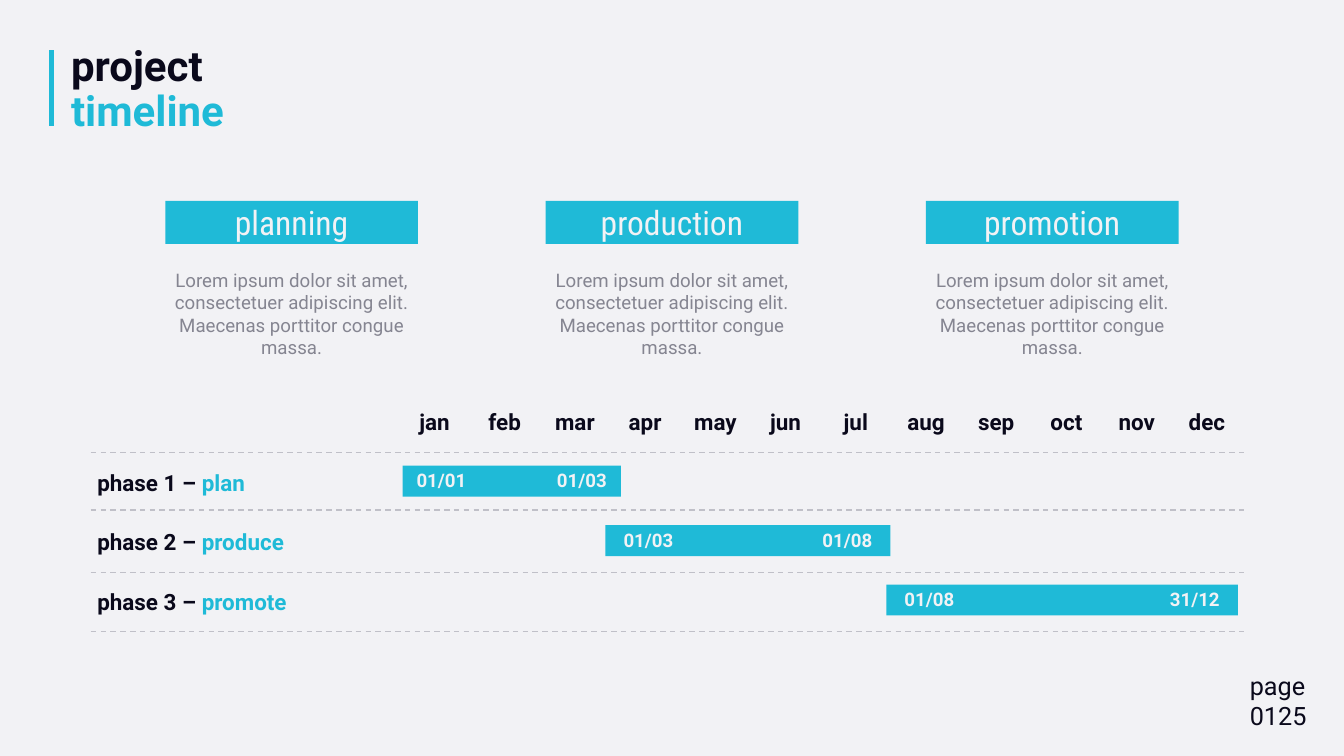
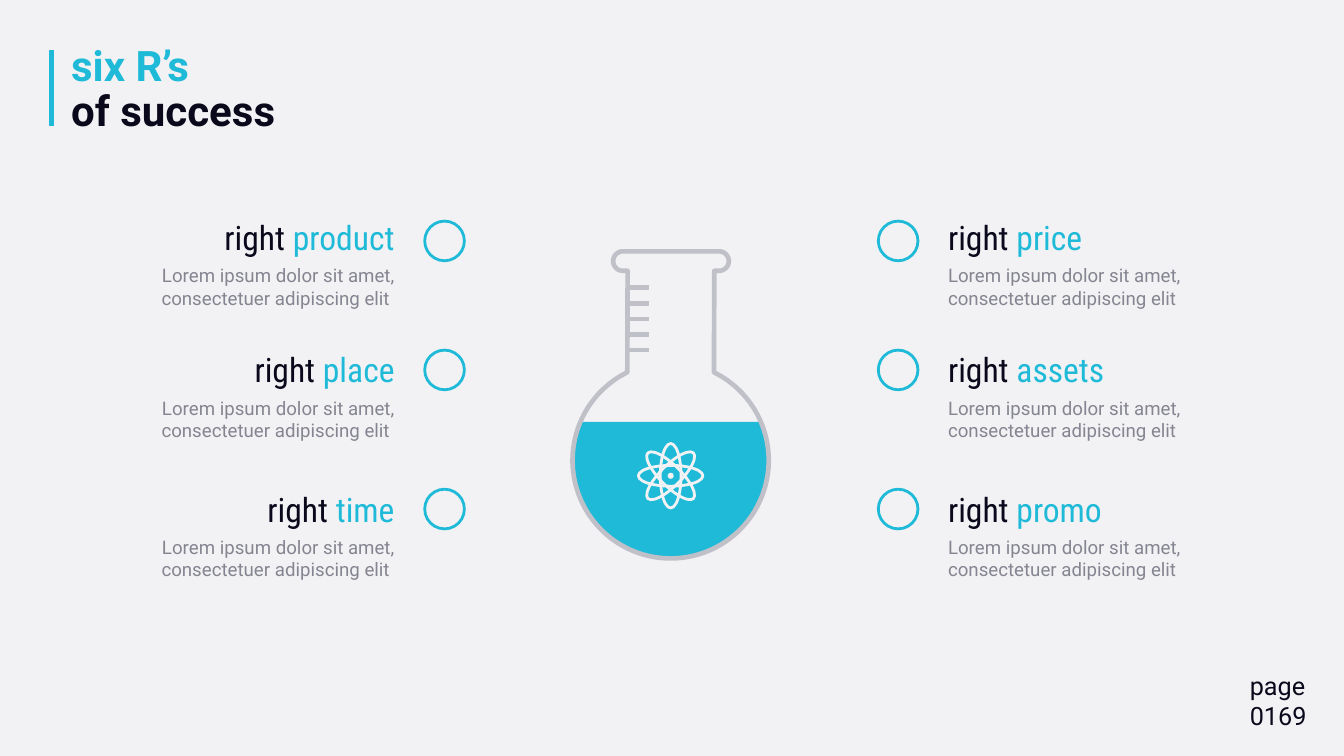
import math

from lxml import etree
from pptx import Presentation
from pptx.dml.color import RGBColor
from pptx.enum import dml, shapes, text
from pptx.oxml import ns
from pptx.util import Inches, Pt

CYAN = RGBColor(0x1F, 0xBA, 0xD7)
INK = RGBColor(0x0A, 0x09, 0x1B)
GREY = RGBColor(0x85, 0x85, 0x91)
SILVER = RGBColor(0xC0, 0xC0, 0xC8)
PAPER = RGBColor(0xF2, 0xF2, 0xF5)
ROBOTO = "Roboto"
CONDENSED = "Roboto Condensed"
LEFT, CENTER, RIGHT = text.PP_ALIGN.LEFT, text.PP_ALIGN.CENTER, text.PP_ALIGN.RIGHT
MONTHS = "jan feb mar apr may jun jul aug sep oct nov dec".split()


def add_run(paragraph, words, size, color, font=ROBOTO, bold=False):
    """Append one formatted run to a paragraph."""
    run = paragraph.add_run()
    run.text = words
    run.font.size = Pt(size)
    run.font.name = font
    run.font.bold = bold
    run.font.color.rgb = color


def add_label(slide, box, runs, size, align=LEFT, font=ROBOTO, bold=False):
    """Add a one-paragraph text box from (words, colour) pairs."""
    frame = slide.shapes.add_textbox(*map(Inches, box)).text_frame
    frame.word_wrap = True
    paragraph = frame.paragraphs[0]
    paragraph.alignment = align
    for words, color in runs:
        add_run(paragraph, words, size, color, font, bold)
    return frame


def paint(shape, fill=None, line=None, width=0):
    """Set the fill and outline of a shape, without a shadow."""
    shape.shadow.inherit = False
    if fill is None:
        shape.fill.background()
    else:
        shape.fill.solid()
        shape.fill.fore_color.rgb = fill
    if line is None:
        shape.line.fill.background()
    else:
        shape.line.color.rgb = line
        shape.line.width = Pt(width)


def add_preset(slide, preset, box, **look):
    """Add a painted preset shape."""
    shape = slide.shapes.add_shape(preset, *map(Inches, box))
    paint(shape, **look)
    return shape


def add_line(slide, x1, y1, x2, y2, color, width, dash=None):
    """Add a straight line without a shadow."""
    line = slide.shapes.add_connector(
        shapes.MSO_CONNECTOR.STRAIGHT, *map(Inches, (x1, y1, x2, y2)))
    line.line.color.rgb = color
    line.line.width = Pt(width)
    if dash:
        line.line.dash_style = dash
    etree.SubElement(line._element.spPr, ns.qn("a:effectLst"))


def arc(cx, cy, radius, start, end):
    """Return points along an arc, with angles in degrees."""
    steps = max(12, round(abs(end - start) / 3))
    angles = [math.radians(start + (end - start) * i / steps) for i in range(steps + 1)]
    return [(cx + radius * math.cos(a), cy + radius * math.sin(a)) for a in angles]


def add_outline(slide, left, top, points, **look):
    """Add a closed freeform from points relative to left and top."""
    corners = [(Inches(left + x), Inches(top + y)) for x, y in points]
    builder = slide.shapes.build_freeform(*corners[0])
    builder.add_line_segments(corners[1:], close=True)
    paint(builder.convert_to_shape(), **look)


def add_page(prs, title, page):
    """Add a slide with its two-line title, side rule and page number."""
    slide = prs.slides.add_slide(prs.slide_layouts[6])
    add_line(slide, 0.77, 0.75, 0.77, 1.88, CYAN, 5)
    (first, first_color), second = title
    frame = add_label(slide, (0.96, 0.62, 5.96, 1.46), [(first, first_color)], 45, bold=True)
    heading = frame.paragraphs[0]
    heading.line_spacing = 0.9
    heading.add_line_break()
    add_run(heading, *(second[0], 45, second[1]), bold=True)
    footer = add_label(slide, (18.5, 9.92, 1.5, 1.04), [("page", INK)], 27)
    add_run(footer.add_paragraph(), page, 27, INK)
    return slide


def add_stage(slide, left, top, name):
    """Add a stage banner with the description below it."""
    banner = add_preset(slide, shapes.MSO_SHAPE.RECTANGLE, (left + 0.25, top, 3.76, 0.64), fill=CYAN)
    frame = banner.text_frame
    frame.vertical_anchor = text.MSO_ANCHOR.MIDDLE
    frame.paragraphs[0].alignment = CENTER
    add_run(frame.paragraphs[0], name, 36, PAPER, CONDENSED)
    description = ("Lorem ipsum dolor sit amet, consectetuer adipiscing elit. "
                   "Maecenas porttitor congue massa.")
    add_label(slide, (left, top + 0.96, 4.26, 1.45), [(description, GREY)], 20, CENTER)


def add_phase(slide, left, top, number, name, bar, dates, date_width):
    """Add one phase row with its label, bar and start and end dates."""
    add_label(slide, (left, top, 3.83, 0.5),
              [(f"phase {number} – ", INK), (name, CYAN)], 24, bold=True)
    start, length = bar
    add_preset(slide, shapes.MSO_SHAPE.RECTANGLE, (left + start, top, length, 0.46), fill=CYAN)
    for date, offset in zip(dates, (start, start + length - date_width)):
        add_label(slide, (left + offset, top, date_width, 0.44), [(date, PAPER)], 20, CENTER, bold=True)


def add_schedule(slide, left, top):
    """Add the month header, the dashed dividers and the phase rows."""
    for i, month in enumerate(MONTHS):
        add_label(slide, (left + 4.42 + 1.045 * i, top, 1.39, 0.5), [(month, INK)], 24, CENTER, bold=True)
    for offset in (0.7, 1.56, 2.49, 3.37):
        add_line(slide, left, top + offset, left + 17.16, top + offset, SILVER, 1.5,
                 dml.MSO_LINE.DASH)
    phases = [
        ("plan", (4.64, 3.25), ("01/01", "01/03"), 1.16),
        ("produce", (7.66, 4.24), ("01/03", "01/08"), 1.28),
        ("promote", (11.84, 5.23), ("01/08", "31/12"), 1.28),
    ]
    for i, phase in enumerate(phases):
        add_phase(slide, left, top + 0.9 + 0.885 * i, i + 1, *phase)


def add_timeline_slide(prs):
    """Build the project timeline slide."""
    slide = add_page(prs, [("project", INK), ("timeline", CYAN)], "0125")
    add_schedule(slide, 1.35, 6.03)
    for i, name in enumerate(("planning", "production", "promotion")):
        add_stage(slide, 2.21 + 5.66 * i, 2.99, name)


def add_right(slide, left, top, name, align, ring_left, ring_top):
    """Add one of the six R's with its ring."""
    description = "Lorem ipsum dolor sit amet, consectetuer adipiscing elit"
    if align == RIGHT:
        description += " "
    add_label(slide, (left, top + 0.7, 4.63, 0.77), [(description, GREY)], 20, align)
    add_label(slide, (left, top, 4.63, 0.71),
              [("right ", INK), (name, CYAN)], 36, align, CONDENSED)
    add_preset(slide, shapes.MSO_SHAPE.OVAL, (ring_left, ring_top, 0.59, 0.59), line=CYAN, width=3)


def add_atom(slide, cx, cy):
    """Add four crossed orbits and a nucleus around a centre."""
    orbit_width, orbit_height, nucleus = 0.96, 0.31, 0.09
    for angle in range(0, 180, 45):
        orbit = add_preset(
            slide, shapes.MSO_SHAPE.OVAL,
            (cx - orbit_width / 2, cy - orbit_height / 2, orbit_width, orbit_height),
            line=PAPER, width=3)
        orbit.rotation = angle
    add_preset(slide, shapes.MSO_SHAPE.OVAL,
               (cx - nucleus / 2, cy - nucleus / 2, nucleus, nucleus), fill=PAPER)


def add_flask(slide, left, top):
    """Add the half-filled flask with its scale marks and atom."""
    bulb = (1.46, 3.11, 1.46)
    add_outline(slide, left, top, arc(*bulb, -23, 203), fill=CYAN)
    for i in range(5):
        y = top + 0.54 + 0.2325 * i
        add_line(slide, left + 0.84, y, left + 1.14, y, SILVER, 5)
    glass = [
        *arc(2.18, 0.145, 0.145, -90, 90), (2.11, 0.29),
        *arc(*bulb, -63.8, 243.8), (0.82, 0.29),
        *arc(0.75, 0.145, 0.145, 90, 270),
    ]
    add_outline(slide, left, top, glass, line=SILVER, width=5)
    add_atom(slide, left + 1.46, top + 3.34)


def add_six_rights_slide(prs):
    """Build the six R's of success slide."""
    slide = add_page(prs, [("six R’s", CYAN), ("of success", INK)], "0169")
    columns = [
        (1.34, RIGHT, 6.32, ("product", "place", "time")),
        (14.01, LEFT, 13.07, ("price", "assets", "promo")),
    ]
    for left, align, ring_left, names in columns:
        for name, top, ring_top in zip(names, (3.18, 5.15, 7.22), (3.29, 5.21, 7.28)):
            add_right(slide, left, top, name, align, ring_left, ring_top)
    add_flask(slide, 8.52, 3.74)


def main():
    """Build and save the presentation."""
    prs = Presentation()
    prs.slide_width, prs.slide_height = Inches(20), Inches(11.25)
    backdrop = prs.slide_master.background.fill
    backdrop.solid()
    backdrop.fore_color.rgb = PAPER
    add_timeline_slide(prs)
    add_six_rights_slide(prs)
    prs.save("out.pptx")


if __name__ == "__main__":
    main()
